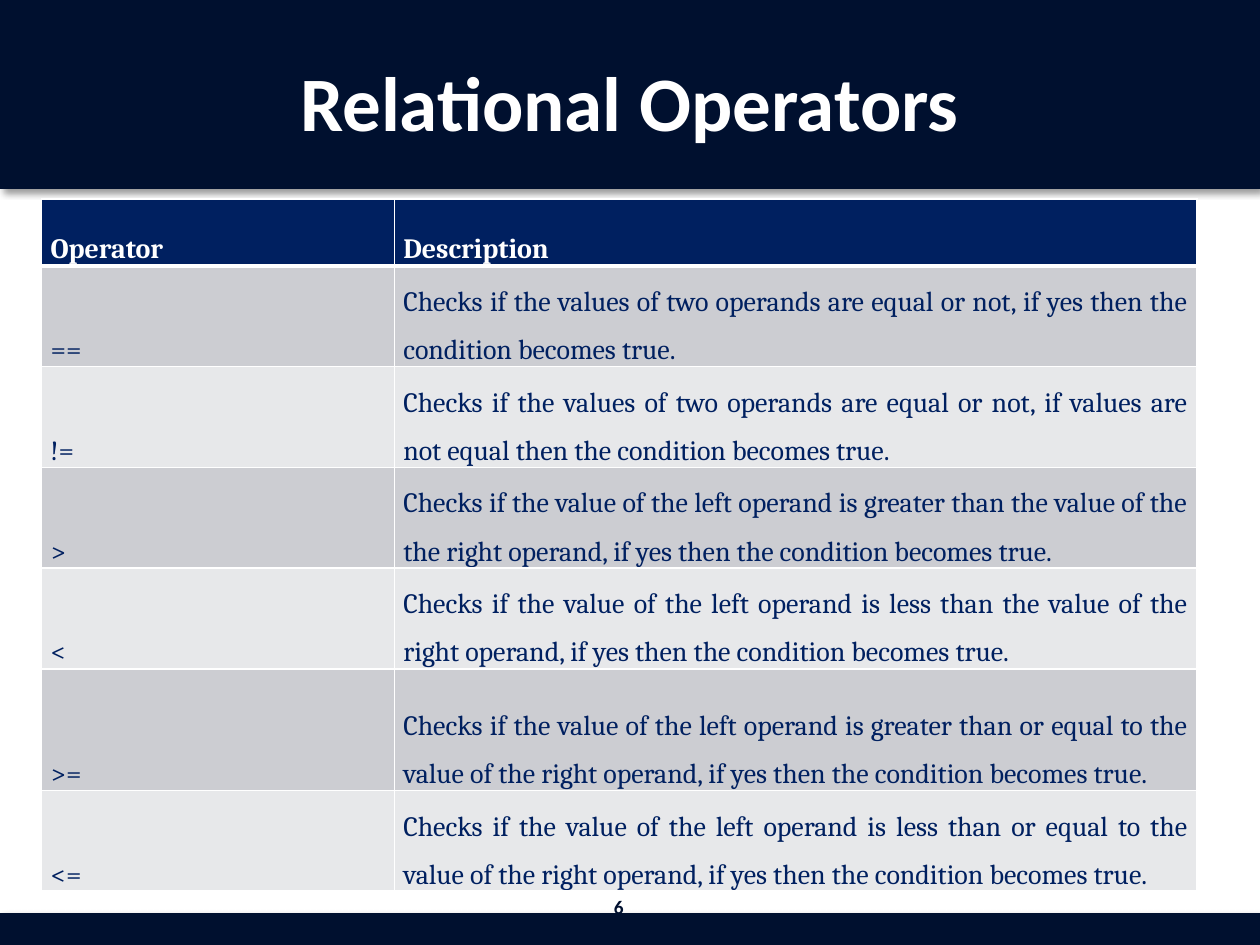
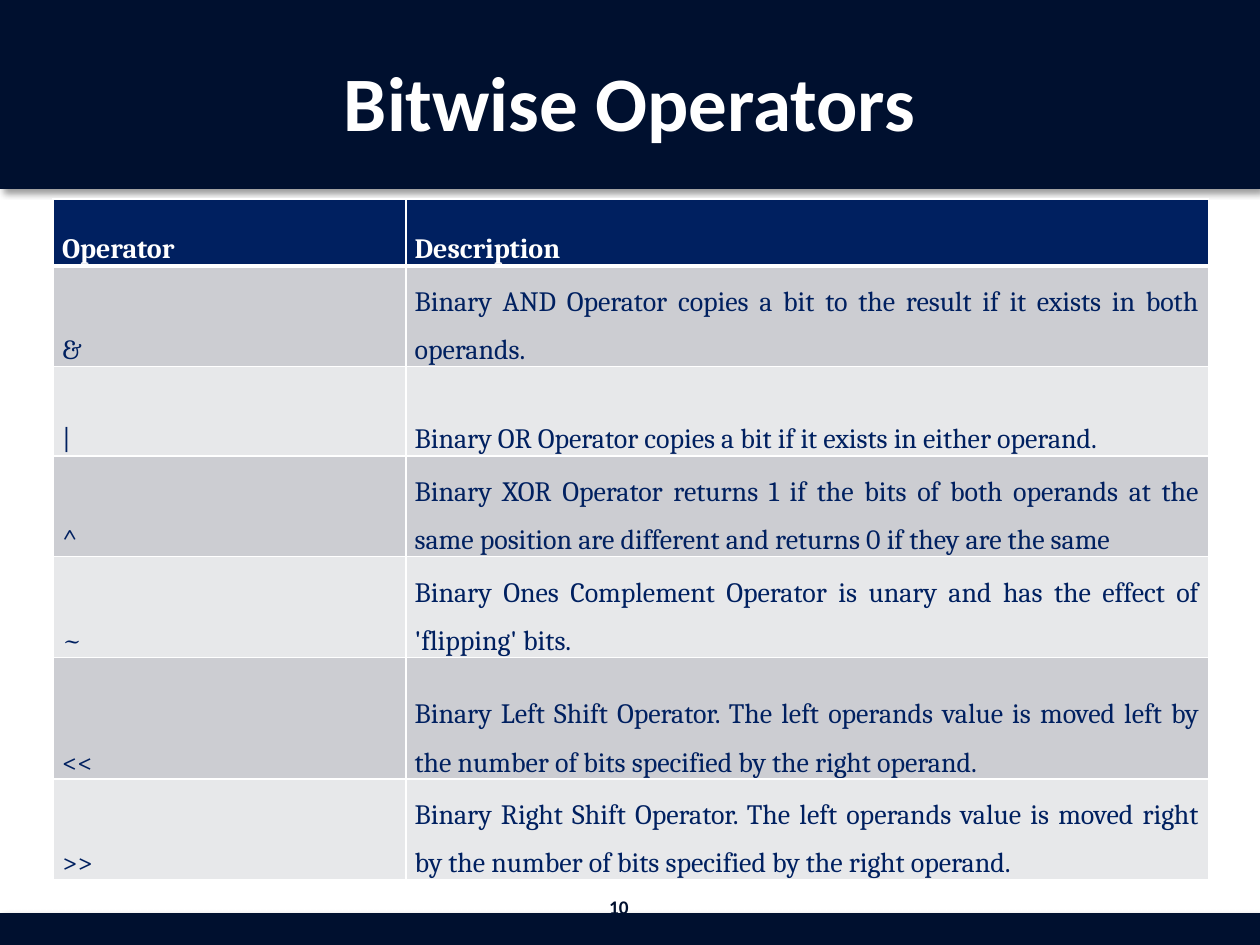
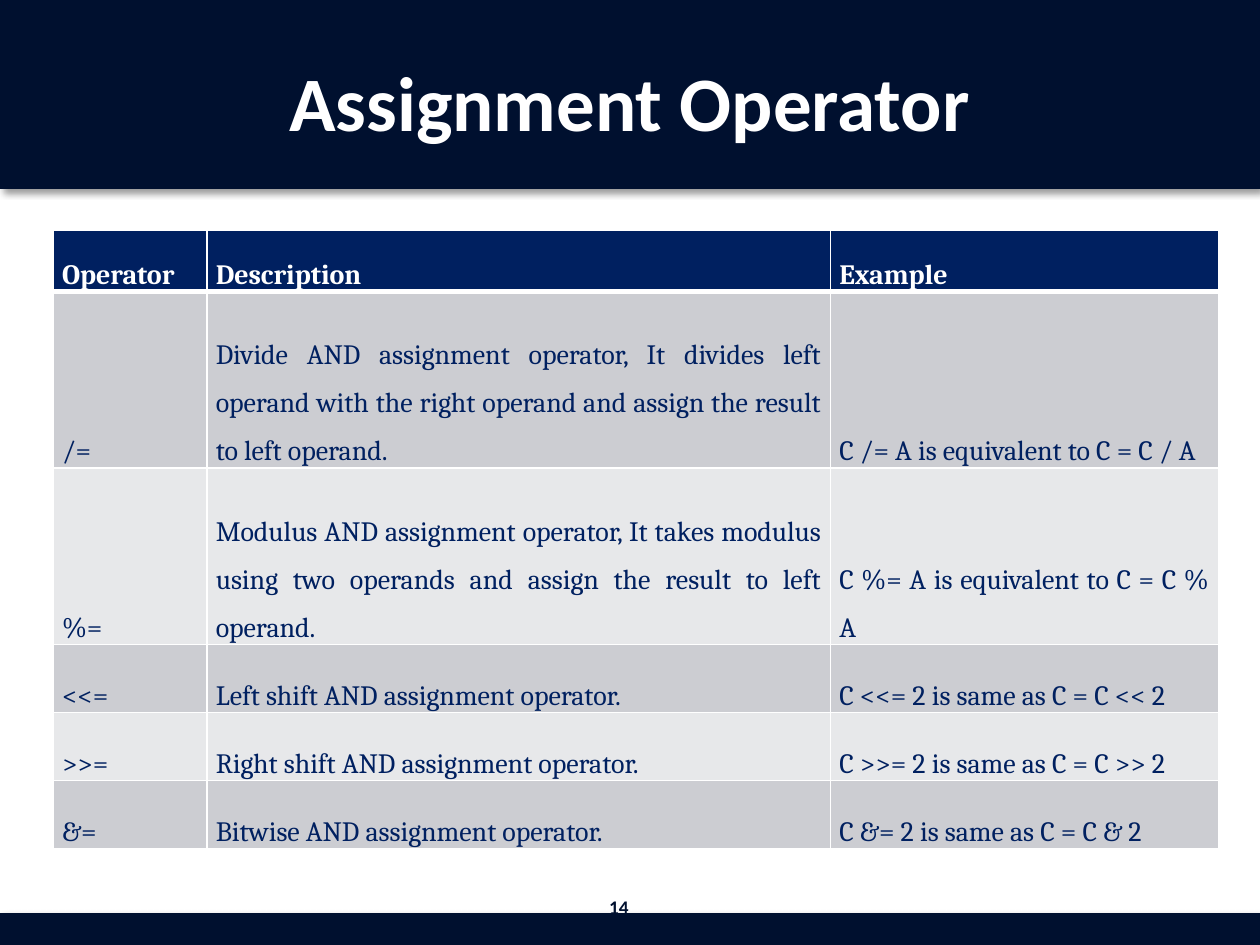
"""Build three slides of operator reference tables with shared bands and titles."""
from copy import deepcopy
from dataclasses import dataclass

from lxml import etree
from pptx import Presentation
from pptx.dml.color import RGBColor
from pptx.enum.shapes import MSO_SHAPE, PP_PLACEHOLDER
from pptx.enum.text import MSO_ANCHOR, PP_ALIGN
from pptx.oxml import parse_xml
from pptx.oxml.ns import nsdecls, qn
from pptx.util import Cm, Pt

RECTANGLE = MSO_SHAPE.RECTANGLE
TITLE = PP_PLACEHOLDER.TITLE
MIDDLE, BOTTOM = MSO_ANCHOR.MIDDLE, MSO_ANCHOR.BOTTOM
CENTER, JUSTIFY = PP_ALIGN.CENTER, PP_ALIGN.JUSTIFY


@dataclass(frozen=True)
class Theme:
    band: str = "00102F"
    header: str = "002060"
    body_text: str = "002060"
    stripes: tuple = ("CCCDD2", "E7E8EA")
    white: str = "FFFFFF"
    heading_font: str = "Calibri"
    table_font: str = "Cambria"
    title_size: int = 44
    table_size: int = 16
    number_size: int = 11
    border: int = 1
    header_border: int = 3


THEME = Theme()
OPERATOR_COLUMNS = (7.11, 16.18)
OPERATOR_ROWS = (1.35, 1.8, 1.8, 1.8, 1.8, 2.45, 1.8)

PAGES = [
    {
        "title": "Relational Operators",
        "number": "6",
        "left": 0.84,
        "top": 4.01,
        "columns": OPERATOR_COLUMNS,
        "rows": OPERATOR_ROWS,
        "cells": [
            ("Operator", "Description"),
            ("==", "Checks if the values of two operands are equal or not, "
                   "if yes then the condition becomes true."),
            ("!=", "Checks if the values of two operands are equal or not, "
                   "if values are not equal then the condition becomes true."),
            (">", "Checks if the value of the left operand is greater than the value of the "
                  "the right operand, if yes then the condition becomes true."),
            ("<", "Checks if the value of the left operand is less than the value of the "
                  "right operand, if yes then the condition becomes true."),
            (">=", "Checks if the value of the left operand is greater than or equal to the "
                   "value of the right operand, if yes then the condition becomes true."),
            ("<=", "Checks if the value of the left operand is less than or equal to the "
                   "value of the right operand, if yes then the condition becomes true."),
        ],
    },
    {
        "title": "Bitwise Operators",
        "number": "10",
        "left": 1.07,
        "top": 4.01,
        "columns": OPERATOR_COLUMNS,
        "rows": OPERATOR_ROWS,
        "cells": [
            ("Operator", "Description"),
            ("&", "Binary AND Operator copies a bit to the result if it exists in both operands."),
            ("|", "Binary OR Operator copies a bit if it exists in either operand."),
            ("^", "Binary XOR Operator returns 1 if the bits of both operands at the same "
                  "position are different and returns 0 if they are the same"),
            ("~", "Binary Ones Complement Operator is unary and has the effect of "
                  "'flipping' bits."),
            ("<<", "Binary Left Shift Operator. The left operands value is moved left by "
                   "the number of bits specified by the right operand."),
            (">>", "Binary Right Shift Operator. The left operands value is moved right by "
                   "the number of bits specified by the right operand."),
        ],
    },
    {
        "title": "Assignment Operator",
        "number": "14",
        "left": 1.07,
        "top": 4.65,
        "columns": (3.1, 12.57, 7.82),
        "rows": (1.22, 3.56, 3.56, 1.37, 1.37, 1.37),
        "cells": [
            ("Operator", "Description", "Example"),
            ("/=", "Divide AND assignment operator, It divides left operand with the right "
                   "operand and assign the result to left operand.",
             "C /= A is equivalent to C = C / A"),
            ("%=", "Modulus AND assignment operator, It takes modulus using two operands "
                   "and assign the result to left operand.",
             "C %= A is equivalent to C = C % A"),
            ("<<=", "Left shift AND assignment operator.", "C <<= 2 is same as C = C << 2"),
            (">>=", "Right shift AND assignment operator.", "C >>= 2 is same as C = C >> 2"),
            ("&=", "Bitwise AND assignment operator.", "C &= 2 is same as C = C & 2"),
        ],
    },
]


def write_text(text_frame, text, font, size, color, bold=True, alignment=CENTER):
    """Write one run, give the paragraph end the same format and return the paragraph."""
    paragraph = text_frame.paragraphs[0]
    paragraph.alignment = alignment
    paragraph.space_before = paragraph.space_after = Pt(0)
    run = paragraph.add_run()
    run.text = text
    run.font.name = font
    run.font.size = Pt(size)
    run.font.bold = bold
    run.font.color.rgb = RGBColor.from_string(color)
    run_properties = run._r.get_or_add_rPr()
    end = etree.SubElement(paragraph._p, qn("a:endParaRPr"), dict(run_properties.attrib))
    end.extend([deepcopy(child) for child in run_properties])
    return paragraph


def set_borders(cell, top, bottom):
    """Draw white borders with the given top and bottom widths in points."""
    properties = cell._tc.get_or_add_tcPr()
    widths = {"lnL": THEME.border, "lnR": THEME.border, "lnT": top, "lnB": bottom}
    for position, (side, width) in enumerate(widths.items()):
        line = etree.Element(qn(f"a:{side}"), w=str(Pt(width)))
        fill = etree.SubElement(line, qn("a:solidFill"))
        etree.SubElement(fill, qn("a:srgbClr"), val=THEME.white)
        properties.insert(position, line)


presentation = Presentation()
presentation.slide_width = Cm(25.4)
presentation.slide_height = Cm(19.05)

layout = presentation.slide_layouts.get_by_name("Title Only")
for placeholder in list(layout.placeholders):
    if placeholder.placeholder_format.type != TITLE:
        layout.shapes.element.remove(placeholder.element)
slides = [presentation.slides.add_slide(layout) for page in PAGES]

bands = [
    slides[0].shapes.add_shape(RECTANGLE, 0, Cm(top), presentation.slide_width, Cm(height))
    for top, height in ((0, 3.81), (18.41, 0.64))
]
for band in bands:
    band.fill.solid()
    band.fill.fore_color.rgb = RGBColor.from_string(THEME.band)
    band.line.fill.background()
    band.element.spPr.append(parse_xml(
        f'<a:effectLst {nsdecls("a")}>'
        f'<a:outerShdw blurRad="{Pt(4)}" dist="{Pt(3)}" dir="2700000" algn="tl" rotWithShape="0">'
        '<a:srgbClr val="000000"><a:alpha val="40000"/></a:srgbClr>'
        '</a:outerShdw></a:effectLst>'
    ))
    layout.shapes.element.insert(2, band.element)

for slide, page in zip(slides, PAGES):
    title = slide.shapes.title
    title.left, title.top, title.width, title.height = Cm(1.27), Cm(0.43), Cm(22.86), Cm(3.18)
    title.text_frame.vertical_anchor = MIDDLE
    write_text(title.text_frame, page["title"], THEME.heading_font, THEME.title_size, THEME.white)

    number = slide.shapes.add_textbox(Cm(11.94), Cm(17.78), Cm(1.07), Cm(1.02))
    number.text_frame.word_wrap = True
    number.text_frame.vertical_anchor = MIDDLE
    write_text(number.text_frame, page["number"], THEME.heading_font, THEME.number_size, THEME.band)

    columns, rows = page["columns"], page["rows"]
    table = slide.shapes.add_table(
        len(rows), len(columns), Cm(page["left"]), Cm(page["top"]),
        Cm(sum(columns)), Cm(sum(rows)),
    ).table
    for column, width in zip(table.columns, columns):
        column.width = Cm(width)
    for row_index, (row, height, texts) in enumerate(zip(table.rows, rows, page["cells"])):
        row.height = Cm(height)
        is_header = row_index == 0
        fill = THEME.header if is_header else THEME.stripes[(row_index - 1) % 2]
        color = THEME.white if is_header else THEME.body_text
        top_border = THEME.header_border if row_index == 1 else THEME.border
        bottom_border = THEME.header_border if is_header else THEME.border
        for cell, text in zip(row.cells, texts):
            cell.fill.solid()
            cell.fill.fore_color.rgb = RGBColor.from_string(fill)
            cell.vertical_anchor = BOTTOM
            cell.margin_left = cell.margin_right = Cm(0.18)
            cell.margin_top = cell.margin_bottom = 0
            paragraph = write_text(cell.text_frame, text, THEME.table_font, THEME.table_size,
                                   color, is_header, JUSTIFY)
            paragraph.line_spacing = 1.5
            set_borders(cell, top_border, bottom_border)

presentation.save("out.pptx")
